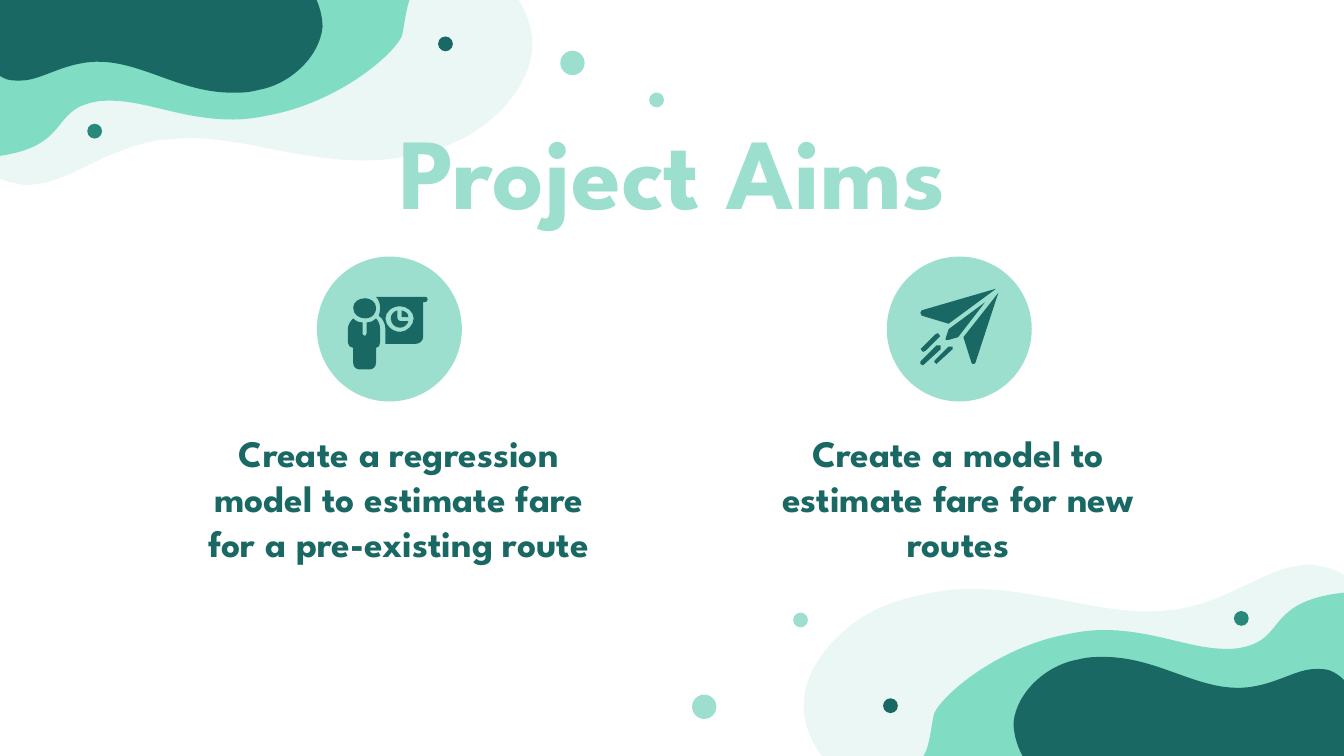
from lxml import etree
from pptx import Presentation, util as u
from pptx.dml.color import RGBColor
from pptx.enum import shapes, text
from pptx.oxml import ns

DARK = RGBColor(0x1A, 0x68, 0x64)
TEAL = RGBColor(0x28, 0x89, 0x7B)
MINT = RGBColor(0x9D, 0xDF, 0xCF)
GREEN = RGBColor(0x80, 0xDD, 0xC4)
PALE = RGBColor(0xEB, 0xF7, 0xF4)

UNIT = 0.0254
DISK = 2.74
SMALL_DOT = 0.28
BIG_DOT = 0.46

TITLE_FONT = {"name": "League Spartan", "size": u.Pt(54), "bold": True}
AIM_FONT = {"name": "League Spartan", "size": u.Pt(20), "bold": True}
TITLE_FRAME = {"word_wrap": True, "vertical_anchor": text.MSO_ANCHOR.TOP,
               "auto_size": text.MSO_AUTO_SIZE.SHAPE_TO_FIT_TEXT}
AIM_FRAME = {"word_wrap": True, "vertical_anchor": text.MSO_ANCHOR.MIDDLE,
             "margin_left": u.Cm(0.25), "margin_right": u.Cm(0.25),
             "margin_top": u.Cm(0.25), "margin_bottom": u.Cm(0.25)}

WAVES = [
    (PALE, "294 118, 304 116 314 114 325 111, 365 99 398 63 396 30, 395 8 377 -23 339 -35,"
           "325 -40 314 -40 302 -39, 294 -38 286 -36 276 -33, 176 -5 75 26 -29 38,"
           "-39 40 -48 41 -58 41, -50 57 -47 75 -39 91, -31 107 -14 132 10 136,"
           "16 138 22 138 27 137, 54 134 78 111 120 104, 121 104 122 104 123 104,"
           "178 97 228 126 294 118"),
    (GREEN, "142 -18, 194 -18 246 -14 307 -5, 302 3 301 20 299 27, 292 42 250 77 199 86,"
            "190 88 181 89 173 89, 136 89 109 75 82 75, 78 75 74 75 70 76,"
            "34 83 56 115 -22 118, -12 76 -15 33 -17 -9, 42 -15 92 -18 142 -18"),
    (DARK, "173 69, 179 69 185 69 192 67, 216 63 238 42 240 20, 240 6 232 -16 211 -27,"
           "203 -31 196 -32 189 -32, 184 -32 179 -32 174 -31, 112 -21 51 -9 -11 -9,"
           "-28 -9, -25 2 -25 14 -21 25, -18 36 -9 54 5 59,"
           "8 60 11 60 15 60, 31 60 46 47 71 46, 73 46, 106 46 134 69 173 69"),
]

PRESENTER = [
    "36 31, 31 31 27 34 27 38, 27 43 31 46 36 46, 38 46 42 45 43 42,"
    "44 41 44 39 44 38, 44 34 40 31 36 31",
    "60 40, 57 41 55 43 55 46, 55 50 58 53 62 53, 65 53 68 50 68 48, 62 48,"
    "61 48 60 47 60 46",
    "63 40, 63 45, 68 45, 68 42 66 41 63 40",
    "27 46, 25 48 23 51 23 54, 23 64, 23 66 25 68 27 68, 27 79, 27 82 29 84 32 84, 39 84,"
    "42 84 44 82 44 79, 44 68, 46 68 47 66 47 64, 47 54, 47 51 46 48 44 46,"
    "42 48 40 49 37 49, 37 57, 37 58 36 59 36 59, 34 59 34 58 34 57, 34 49,"
    "31 49 29 48 27 46",
    "62 37, 67 37 72 41 72 46, 72 51 67 56 62 56, 56 56 51 51 51 46, 51 41 56 37 62 37;"
    "44 30, 46 32 47 35 47 38, 47 40 47 42 46 44, 49 46 51 50 51 54, 51 65, 73 65,"
    "76 65 79 63 79 60, 79 34, 80 34, 83 34 83 30 81 30",
]

PAPER_PLANE = [
    "81 24, 26 40, 25 41 25 41 25 42, 25 43 25 43 26 44, 46 50, 80 25",
    "73 34, 46 54, 44 60, 43 61 44 62 44 62, 46 62, 53 60",
    "83 27, 57 60, 63 79, 63 80 64 80 65 80, 66 80 66 80 66 79",
    "38 57, 37 57 37 58 36 58, 26 68, 25 68 25 69 26 70, 26 70 27 71 27 71,"
    "28 71 28 70 29 70, 39 60, 40 60 40 59 39 58, 39 58 38 57 38 57",
    "47 67, 46 67, 36 77, 35 78 35 79 36 79, 36 80 37 80 37 80,"
    "37 80 38 80 38 79, 49 69, 49 69 49 68 49 67, 48 67 48 67 47 67",
    "39 66, 38 66 38 66 37 66, 25 78, 25 78 25 79 25 80, 26 80 26 81 27 81,"
    "27 81 28 80 28 80, 40 69, 40 68 40 67 40 66, 39 66",
]


def paint(part, color):
    """Give a part a flat fill with no line or shadow."""
    part.shadow.inherit = False
    part.fill.solid()
    part.fill.fore_color.rgb = color
    part.line.fill.background()
    return part


def read_segments(contour, left, top, turn):
    """List the points of each line or curve segment in slide lengths."""
    segments = []
    for segment in contour.split(","):
        values = [turn * int(value) * UNIT for value in segment.split()]
        segments.append([(u.Cm(left + x), u.Cm(top + y))
                         for x, y in zip(values[::2], values[1::2])])
    return segments


def bend(line, handles, part):
    """Turn a straight path segment into a cubic curve."""
    line.tag = ns.qn("a:cubicBezTo")
    for position, (x, y) in enumerate(handles):
        handle = etree.Element(ns.qn("a:pt"), x=str(x - part.left), y=str(y - part.top))
        line.insert(position, handle)


def add_outline(slide, outline, left, top, color, turn=1):
    """Draw an outline from the given corner, half turned when turn is -1."""
    builder, drawn = None, []
    for contour in outline.split(";"):
        start, *segments = read_segments(contour, left, top, turn)
        if builder is None:
            builder = slide.shapes.build_freeform(*start[0])
        else:
            builder.move_to(*start[0])
        builder.add_line_segments([segment[-1] for segment in segments], close=True)
        drawn += segments
    part = builder.convert_to_shape()
    lines = list(part.element.iter(ns.qn("a:lnTo")))
    for line, (*handles, _) in zip(lines, drawn):
        if handles:
            bend(line, handles, part)
    return paint(part, color)


def add_disk(slide, left, top, size, color):
    """Draw a filled circle."""
    disk = slide.shapes.add_shape(shapes.MSO_SHAPE.OVAL, u.Cm(left), u.Cm(top),
                                  u.Cm(size), u.Cm(size))
    return paint(disk, color)


def add_corner(slide, left, top, turn, big_dot, small_dot):
    """Decorate a corner with waves and dots measured from that corner."""
    dots = [(big_dot, BIG_DOT, MINT), (small_dot, SMALL_DOT, MINT),
            ((1.79, 2.48), SMALL_DOT, TEAL), ((8.42, 0.83), SMALL_DOT, DARK)]
    for color, wave in WAVES:
        add_outline(slide, wave, left, top, color, turn)
    for (x, y), size, color in dots:
        add_disk(slide, left + turn * x - size / 2, top + turn * y - size / 2, size, color)


def write(holder, wording, frame_format, font_format, color):
    """Fill a text holder with one centred, formatted paragraph."""
    frame = holder.text_frame
    for name, value in frame_format.items():
        setattr(frame, name, value)
    paragraph = frame.paragraphs[0]
    paragraph.alignment = text.PP_ALIGN.CENTER
    run = paragraph.add_run()
    run.text = wording
    for name, value in font_format.items():
        setattr(run.font, name, value)
    run.font.color.rgb = color


def add_title(slide, left, top, width, height):
    """Place the heading in front of the decoration."""
    heading = slide.shapes.title
    heading.left, heading.top = u.Cm(left), u.Cm(top)
    heading.width, heading.height = u.Cm(width), u.Cm(height)
    write(heading, "Project Aims", TITLE_FRAME, TITLE_FONT, MINT)
    slide.shapes.element.append(heading.element)


def add_aim(slide, left, top, width, height, disk_inset, icon, wording):
    """Place one aim: an icon on a disk with its statement below."""
    disk_left = left + disk_inset
    add_disk(slide, disk_left, top, DISK, MINT)
    icon_parts = [add_outline(slide, outline, disk_left, top, DARK) for outline in icon]
    slide.shapes.add_group_shape(icon_parts)
    statement_height = 2.74
    statement = slide.shapes.add_textbox(u.Cm(left), u.Cm(top + height - statement_height),
                                         u.Cm(width), u.Cm(statement_height))
    write(statement, wording, AIM_FRAME, AIM_FONT, DARK)


def main():
    """Build and save the slide."""
    deck = Presentation()
    deck.slide_width, deck.slide_height = u.Cm(25.4), u.Cm(14.29)
    slide = deck.slides.add_slide(deck.slide_layouts.get_by_name("Title Only"))
    add_corner(slide, 0, 0, 1, (10.82, 1.19), (12.41, 1.89))
    add_corner(slide, 25.25, 14.17, -1, (11.94, 0.81), (10.12, 2.45))
    add_aim(slide, 3.35, 4.85, 8.38, 5.92, 2.64, PRESENTER,
            "Create a regression model to estimate fare for a pre-existing route")
    add_aim(slide, 13.92, 4.85, 8.38, 5.92, 2.84, PAPER_PLANE,
            "Create a model to estimate fare for new routes")
    add_title(slide, 6.68, 1.93, 12.07, 2.57)
    deck.save("out.pptx")


if __name__ == "__main__":
    main()
